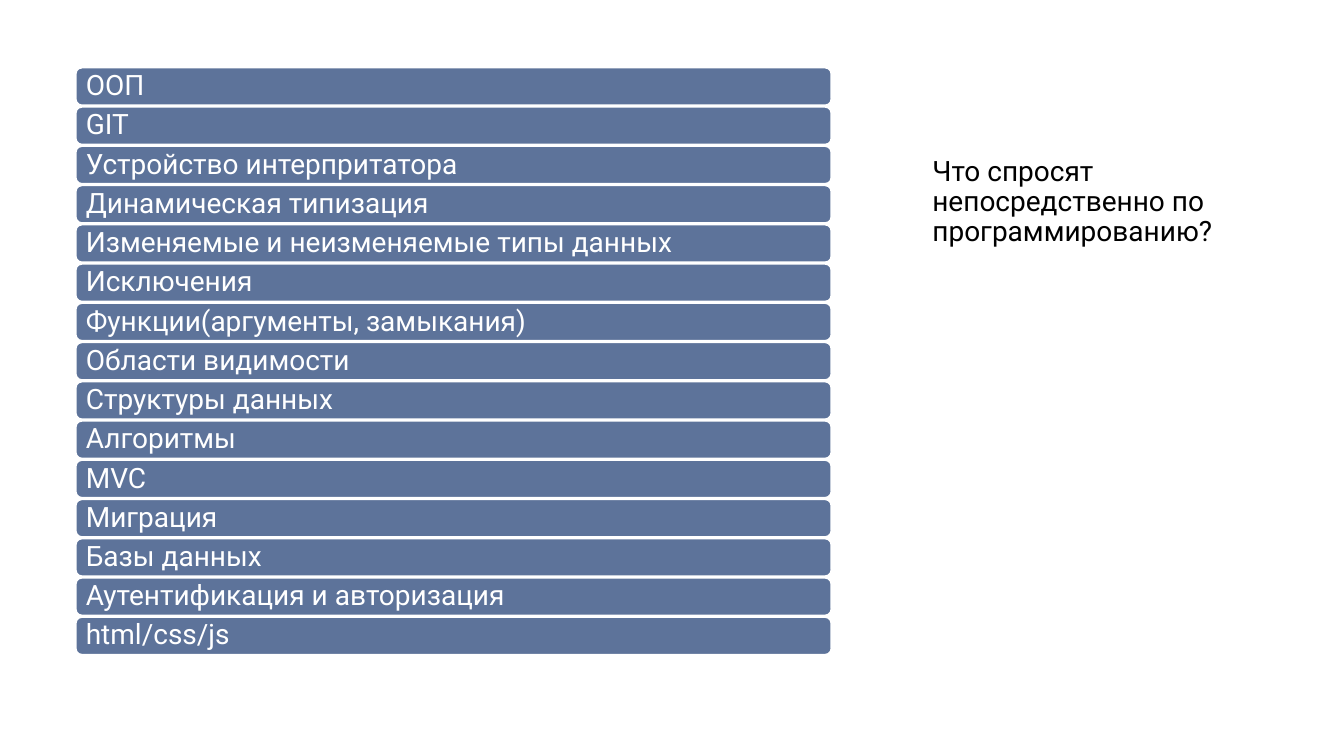
from pptx import Presentation
from pptx import util as u
from pptx.dml.color import RGBColor
from pptx.enum import shapes, text

WHITE = RGBColor(0xFF, 0xFF, 0xFF)
BLACK = RGBColor(0x00, 0x00, 0x00)
SLATE = RGBColor(0x5D, 0x73, 0x9A)

TOPICS = [
    "ООП",
    "GIT",
    "Устройство интерпритатора",
    "Динамическая типизация",
    "Изменяемые и неизменяемые типы данных",
    "Исключения",
    "Функции(аргументы, замыкания)",
    "Области видимости",
    "Структуры данных",
    "Алгоритмы",
    "MVC",
    "Миграция",
    "Базы данных",
    "Аутентификация и авторизация",
    "html/css/js",
]


class TopicSlide:
    font_name = "Roboto"
    font_size = 20
    line_spacing = 0.9

    def __init__(self, slide):
        self.slide = slide

    def set_wording(self, shape, wording, color, anchor, side_inset=0):
        frame = shape.text_frame
        frame.word_wrap = True
        frame.vertical_anchor = anchor
        frame.margin_left = frame.margin_right = u.Pt(side_inset)
        frame.margin_top = frame.margin_bottom = 0
        paragraph = frame.paragraphs[0]
        paragraph.text = wording
        paragraph.alignment = text.PP_ALIGN.LEFT
        paragraph.line_spacing = self.line_spacing
        paragraph.font.name = self.font_name
        paragraph.font.size = u.Pt(self.font_size)
        paragraph.font.color.rgb = color

    def question(self, wording, left, top, width, height):
        box = self.slide.shapes.add_textbox(
            u.Pt(left), u.Pt(top), u.Pt(width), u.Pt(height))
        self.set_wording(box, wording, BLACK, text.MSO_ANCHOR.BOTTOM)

    def bar(self, wording, left, top, width, height):
        bar = self.slide.shapes.add_shape(
            shapes.MSO_SHAPE.ROUNDED_RECTANGLE,
            u.Pt(left), u.Pt(top), u.Pt(width), u.Pt(height))
        bar.shadow.inherit = False
        bar.fill.solid()
        bar.fill.fore_color.rgb = SLATE
        bar.line.color.rgb = WHITE
        bar.line.width = u.Pt(1.5)
        self.set_wording(bar, wording, WHITE, text.MSO_ANCHOR.MIDDLE, side_inset=6)


def main():
    deck = Presentation()
    deck.slide_width, deck.slide_height = u.Pt(960), u.Pt(540)
    page = TopicSlide(deck.slides.add_slide(deck.slide_layouts[6]))

    # Question on the right
    page.question("Что спросят непосредственно по программированию?",
                  666, 47.5, 249, 129.6)

    # Evenly stacked topic bars
    first_top, pitch = 48.2, 28.03
    for row, topic in enumerate(TOPICS):
        page.bar(topic, 54, first_top + row * pitch, 540, 27.2)

    deck.save("out.pptx")


if __name__ == "__main__":
    main()
